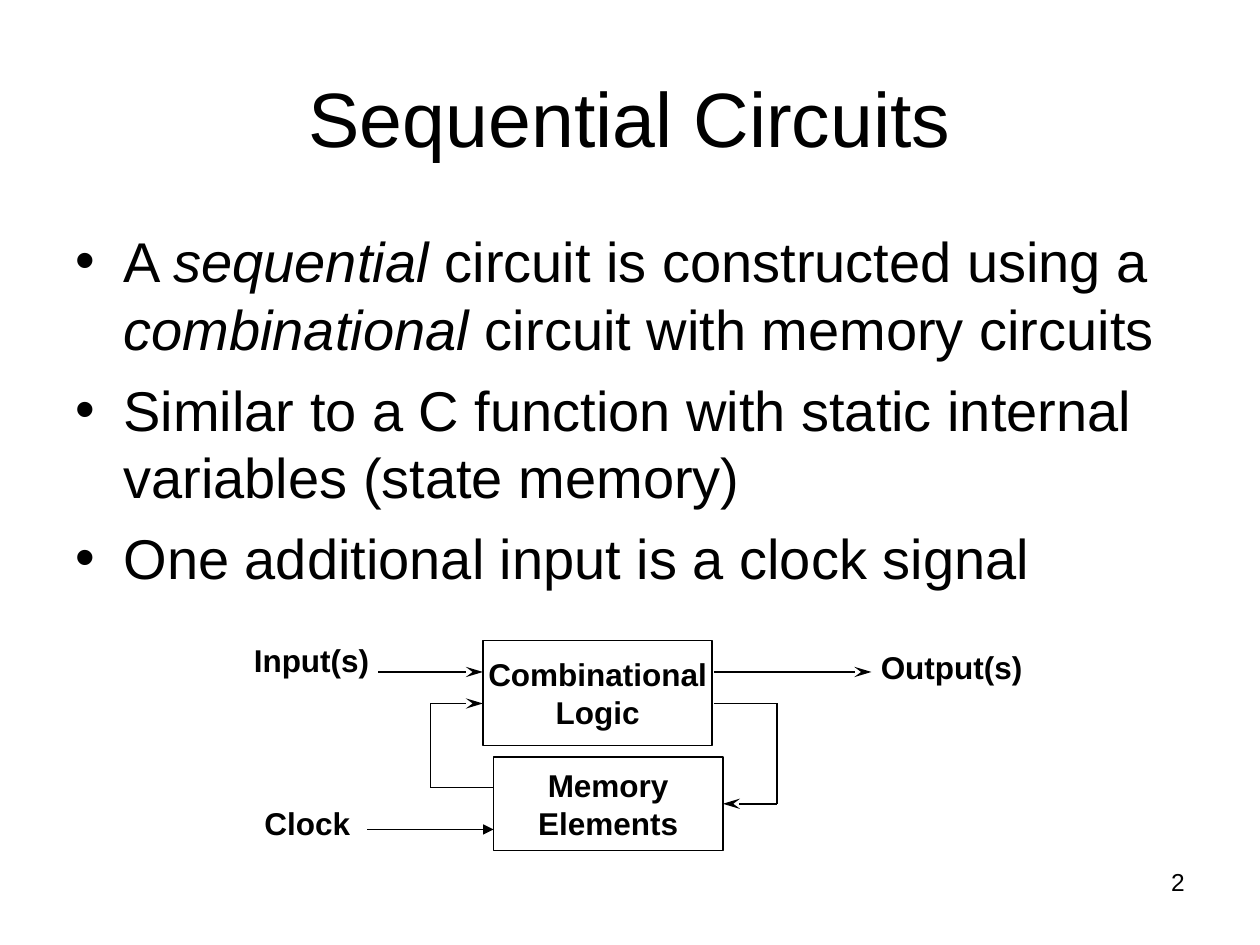
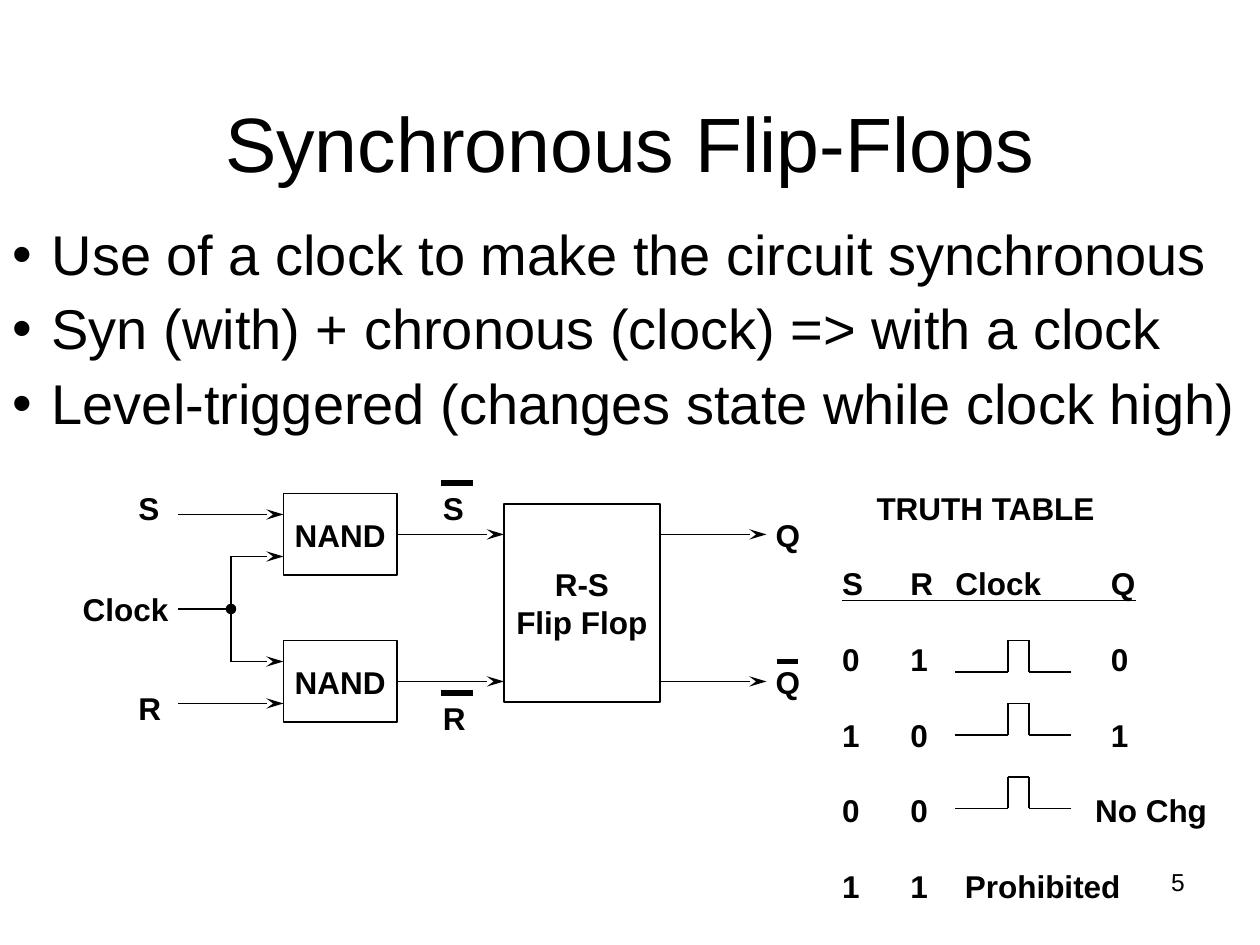
import dataclasses
import itertools

import pptx
import pptx.dml.color
import pptx.enum.shapes
import pptx.enum.text
import pptx.oxml
import pptx.oxml.ns
import pptx.util

ALIGN = pptx.enum.text.PP_ALIGN
ANCHOR = pptx.enum.text.MSO_ANCHOR
FIT = pptx.enum.text.MSO_AUTO_SIZE
SHAPE = pptx.enum.shapes.MSO_SHAPE
RIGHT = 3


@dataclasses.dataclass(frozen=True)
class Theme:
    """Colours, type sizes and line weights of the deck."""
    ink: pptx.dml.color.RGBColor = pptx.dml.color.RGBColor(0, 0, 0)
    paper: pptx.dml.color.RGBColor = pptx.dml.color.RGBColor(255, 255, 255)
    font: str = "Arial"
    title: int = 44
    body: int = 32
    label: int = 18
    number: int = 14
    thin: float = 1
    thick: float = 3
    bullet_gap: int = 8
    label_height: float = 4.8


THEME = Theme()


def grid(cells):
    """Turn cells of the 120 by 90 slide grid into a length."""
    return pptx.util.Inches(cells / 12)


def assign(target, **values):
    """Set each named format value on the target."""
    for name, value in values.items():
        setattr(target, name, value)


def place(part, left, top, width, height):
    """Move a placeholder to a grid area."""
    assign(part, left=grid(left), top=grid(top), width=grid(width), height=grid(height))


def write(paragraph, text, size, bold=False, **layout):
    """Fill a paragraph, with italics between asterisks."""
    assign(paragraph, **layout)
    for index, piece in enumerate(text.split("*")):
        run = paragraph.add_run()
        run.text = piece
        assign(run.font, name=THEME.font, size=pptx.util.Pt(size), bold=bold,
               italic=index % 2 == 1)
        run.font.color.rgb = THEME.ink


def label(slide, text, left, top, width):
    """Add a bold caption that stays on one line."""
    caption = slide.shapes.add_textbox(
        *map(grid, (left, top, width, THEME.label_height)))
    assign(caption.text_frame, word_wrap=False, auto_size=FIT.SHAPE_TO_FIT_TEXT)
    write(caption.text_frame.paragraphs[0], text, THEME.label, True)


def page_number(slide, number):
    """Add the slide number at the lower right."""
    corner = slide.shapes.add_textbox(*map(grid, (86, 82, 28, 6.2)))
    corner.text_frame.word_wrap = True
    write(corner.text_frame.paragraphs[0], number, THEME.number, alignment=ALIGN.RIGHT)


def solid(shape, fill, weight):
    """Give a shape a flat fill and an ink outline."""
    shape.shadow.inherit = False
    shape.fill.solid()
    shape.fill.fore_color.rgb = fill
    shape.line.color.rgb = THEME.ink
    shape.line.width = pptx.util.Pt(weight)


def block(slide, lines, left, top, width, height):
    """Add a circuit block with centred lines of text."""
    box = slide.shapes.add_shape(SHAPE.RECTANGLE, *map(grid, (left, top, width, height)))
    solid(box, THEME.paper, THEME.thin)
    frame = box.text_frame
    assign(frame, word_wrap=False, vertical_anchor=ANCHOR.MIDDLE)
    for index, line in enumerate(lines):
        paragraph = frame.add_paragraph() if index else frame.paragraphs[0]
        write(paragraph, line, THEME.label, True, alignment=ALIGN.CENTER)
    return box


def wire(slide, *points, head=None, weight=THEME.thin, start=None, end=None):
    """Draw straight segments through the points, with an optional arrowhead."""
    segments = []
    for first, second in itertools.pairwise(points):
        segment = slide.shapes.add_connector(
            pptx.enum.shapes.MSO_CONNECTOR.STRAIGHT, *map(grid, first + second))
        segment.line.color.rgb = THEME.ink
        segment.line.width = pptx.util.Pt(weight)
        properties = segment._element.spPr
        properties.append(pptx.oxml.parse_xml(
            f'<a:effectLst {pptx.oxml.ns.nsdecls("a")}/>'))
        segments.append(segment)
    if start:
        segments[0].begin_connect(*start)
    if end:
        segments[-1].end_connect(*end)
    if head:
        length = "lg" if head == "stealth" else "med"
        segments[-1].line._get_or_add_ln().append(pptx.oxml.parse_xml(
            f'<a:tailEnd {pptx.oxml.ns.nsdecls("a")} type="{head}" len="{length}"/>'))


def topic(deck, title, bullets, number, left, indent, spacing, anchor):
    """Add a slide with its title, bullet list and number."""
    slide = deck.slides.add_slide(deck.slide_layouts[1])
    heading, points = slide.placeholders
    place(heading, 6, 3.6, 108, 15)
    place(points, left, 21, 120 - 2 * left, 59.4)
    for part in (heading, points):
        assign(part.text_frame, word_wrap=True, auto_size=FIT.NONE)
    heading.text_frame.vertical_anchor = anchor
    write(heading.text_frame.paragraphs[0], title, THEME.title,
          alignment=ALIGN.CENTER, line_spacing=spacing)
    for index, bullet in enumerate(bullets):
        frame = points.text_frame
        paragraph = frame.add_paragraph() if index else frame.paragraphs[0]
        write(paragraph, bullet, THEME.body, line_spacing=spacing,
              space_before=pptx.util.Pt(THEME.bullet_gap))
        hang = pptx.util.Inches(indent)
        properties = paragraph._p.get_or_add_pPr()
        properties.set("marL", str(hang))
        properties.set("indent", str(-hang))
    page_number(slide, number)
    return slide


def truth_table(slide, rows, left, top, widths, row_height):
    """Add the unbordered truth table with a rule below its header."""
    table = slide.shapes.add_table(len(rows), len(widths), *map(
        grid, (left, top, sum(widths), row_height * len(rows)))).table
    assign(table, first_row=False, horz_banding=False)
    for column, width in zip(table.columns, widths):
        column.width = grid(width)
    for r, row in enumerate(rows):
        for c, entry in enumerate(row):
            cell = table.cell(r, c)
            cell.fill.background()
            is_state = c == len(widths) - 1 and len(entry) == 1
            assign(cell, margin_left=grid(1.5 if is_state else 0), margin_right=0,
                   margin_top=0, margin_bottom=0, vertical_anchor=ANCHOR.MIDDLE)
            if entry:
                write(cell.text_frame.paragraphs[0], entry, THEME.label, True)
    prohibited = table.cell(len(rows) - 1, 2)
    prohibited.merge(table.cell(len(rows) - 1, 3))
    prohibited.margin_left = grid(0.9)
    rule = top + 5.1
    wire(slide, (left, rule), (left + 28, rule))


def sequential_circuits(deck):
    """Build the slide on sequential circuits."""
    slide = topic(deck, "Sequential Circuits", [
        "A *sequential *circuit is constructed using a *combinational*"
        " circuit with memory circuits",
        "Similar to a C function with static internal variables (state memory)",
        "One additional input is a clock signal",
    ], "2", 6, 0.38, 1.0, ANCHOR.MIDDLE)
    block(slide, ["Combinational", "Logic"], 46, 61, 21.84, 10)
    memory = block(slide, ["Memory", "Elements"], 47, 72.1, 21.84, 8.9)
    wire(slide, (36, 64), (46, 64), head="stealth")
    wire(slide, (68, 64), (83, 64), head="stealth")
    wire(slide, (47, 75), (41, 75), (41, 67), (46, 67), head="stealth")
    wire(slide, (68, 67), (74, 67), (74, 76.55), (69, 76.55), head="stealth",
         end=(memory, RIGHT))
    wire(slide, (35, 79), (47, 79), head="triangle")
    for text, left, top, width in [("Input(s)", 23, 60.5, 13.4),
                                   ("Output(s)", 82.7, 61.1, 16),
                                   ("Clock", 24, 76, 10.6)]:
        label(slide, text, left, top, width)


def synchronous_flip_flops(deck):
    """Build the slide on synchronous flip-flops."""
    slide = topic(deck, "Synchronous Flip-Flops", [
        "Use of a clock to make the circuit synchronous",
        "Syn (with) + chronous (clock) => with a clock",
        "Level-triggered (changes state while clock high)",
    ], "5", 0, 0.31, 0.9, ANCHOR.BOTTOM)
    block(slide, ["R-S", "Flip Flop"], 48, 48, 14.84, 18.84)
    for gate_top, signal, clock in [(47, 49, 53), (61, 67, 63)]:
        gate = block(slide, ["NAND"], 27, gate_top, 10.8, 7.8)
        middle = gate_top + 3.9
        wire(slide, (17, signal), (27, signal), head="stealth")
        wire(slide, (22, clock), (27, clock), head="stealth")
        wire(slide, (37.8, middle), (48, middle), head="stealth", start=(gate, RIGHT))
        wire(slide, (62.84, middle), (73, middle), head="stealth")
        label(slide, "Q", 72.7, middle - 2.3, 4.8)
    wire(slide, (22, 53), (22, 63))
    wire(slide, (17, 58), (22, 58))
    junction = slide.shapes.add_shape(
        SHAPE.OVAL, *map(grid, (21.75, 57.75, 0.5, 0.5)))
    solid(junction, THEME.ink, THEME.thick)
    for text, left, top, width in [("S", 12, 46, 4.4), ("R", 12, 65, 4.5),
                                   ("Clock", 6.7, 55.6, 10.6),
                                   ("S", 41, 46, 4.4), ("R", 41, 66, 4.5),
                                   ("TRUTH TABLE", 82.3, 46, 23.2)]:
        label(slide, text, left, top, width)
    for start, end, height in [(42, 45, 46), (42, 45, 66), (74, 76, 63)]:
        wire(slide, (start, height), (end, height), weight=THEME.thick)
    truth_table(slide, [("S", "R", "Clock", "Q"),
                        ("0", "1", "", "0"),
                        ("1", "0", "", "1"),
                        ("0", "0", "", "No Chg"),
                        ("1", "1", "Prohibited", "")],
                80.2, 52.1, (6.5, 4.3, 13.3, 11.5), 7.2)
    for low in (64, 70, 77):
        high = low - 3
        wire(slide, (91, low), (96, low), (96, high), (98, high), (98, low), (102, low))


def main():
    """Build and save the deck."""
    deck = pptx.Presentation()
    assign(deck, slide_width=grid(120), slide_height=grid(90))
    sequential_circuits(deck)
    synchronous_flip_flops(deck)
    deck.save("out.pptx")


if __name__ == "__main__":
    main()
